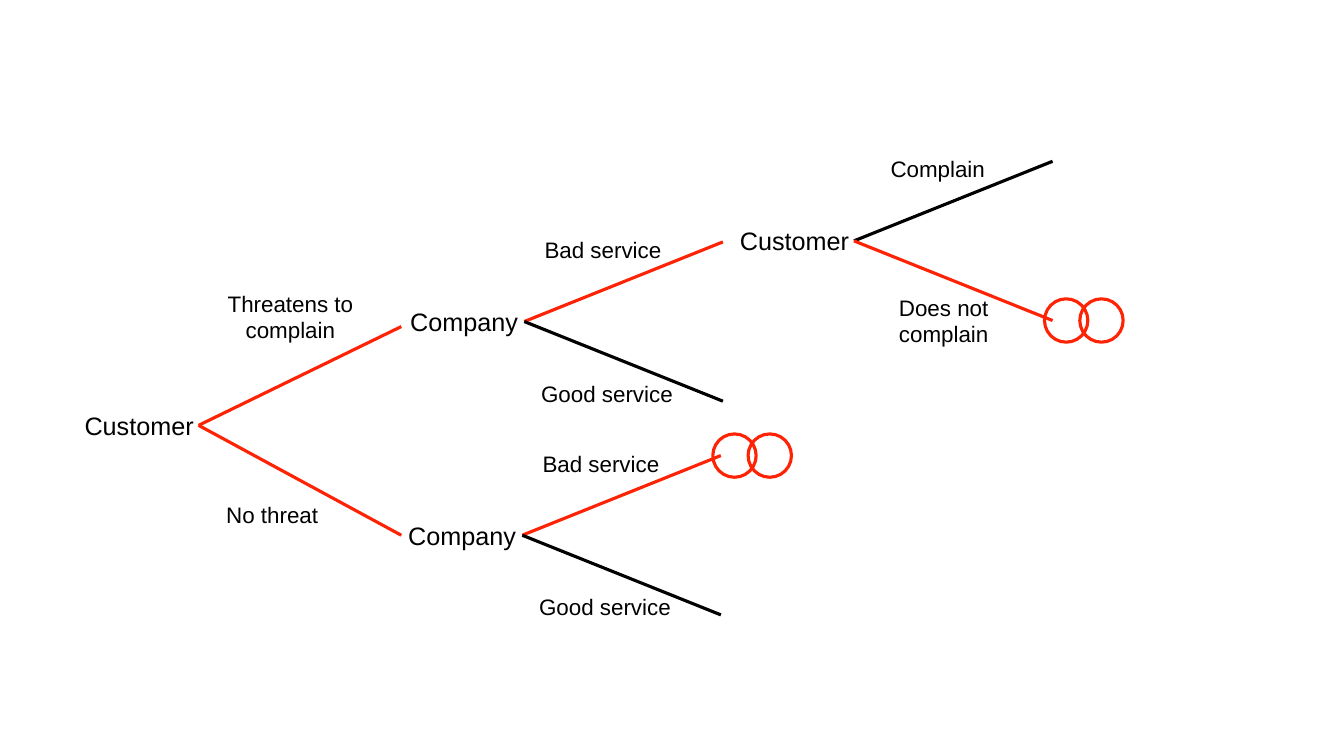
from pptx import Presentation
from pptx.util import Inches, Pt
from pptx.dml.color import RGBColor
from pptx.enum.shapes import MSO_CONNECTOR, MSO_SHAPE
from pptx.enum.text import MSO_ANCHOR, PP_ALIGN
from pptx.oxml.ns import qn
from lxml import etree

STRAIGHT, OVAL = MSO_CONNECTOR.STRAIGHT, MSO_SHAPE.OVAL
MIDDLE, LEFT, CENTER = MSO_ANCHOR.MIDDLE, PP_ALIGN.LEFT, PP_ALIGN.CENTER

# Content: player, then (label, chosen, ends in an outcome)
THREAT = [("Threatens to complain", True, False), ("No threat", True, False)]
SERVICE = [("Bad service", True, False), ("Good service", False, False)]
SERVICE_END = [("Bad service", True, True), ("Good service", False, False)]
COMPLAINT = [("Complain", False, False), ("Does not complain", True, True)]

# Geometry in inches: (dx, dy) is the label centre measured from the fork
RUN, RISE = 1.97, 0.79
WIDE = [(2.01, -0.98), (2.01, 1.09)]
EVEN = [(RUN, -RISE), (RUN, RISE)]
LABEL_AT = {
    "Threatens to complain": (0.91, -1.08, 1.65),
    "No threat": (0.73, 0.88, 1.13),
    "Bad service": (0.78, -0.71, 1.65),
    "Good service": (0.82, 0.71, 1.72),
    "Complain": (0.83, -0.72, 1.65),
    "Does not complain": (0.89, 0.79, 1.3),
}
FORKS = [  # player, fork x, fork y, branch ends, branches
    ("Customer", 1.97, 4.22, WIDE, THREAT),
    ("Company", 5.2, 3.19, EVEN, SERVICE),
    ("Company", 5.18, 5.31, EVEN, SERVICE_END),
    ("Customer", 8.47, 2.39, EVEN, COMPLAINT),
]
NODE_W, NODE_H, NODE_OFFSET = 1.3, 0.4, 1.23
LINE_H, PADDING = 0.27, 0.1
RING, RING_STEP, PAIR_OFFSET = 0.43, 0.35, 0.31

THEME = {
    "font": "Arial",
    "text": RGBColor(0, 0, 0),
    "chosen": RGBColor(0xFF, 0x23, 0x05),
    "other": RGBColor(0, 0, 0),
    "node_size": Pt(18),
    "label_size": Pt(16),
    "stroke": Pt(2.25),
}


def add_text(s, text, x, y, w, h, size, align, wrap):
    tf = s.shapes.add_textbox(*map(Inches, (x, y, w, h))).text_frame
    tf.word_wrap = wrap
    tf.vertical_anchor = MIDDLE
    tf.text = text
    p = tf.paragraphs[0]
    p.alignment = align
    font = p.runs[0].font
    font.name, font.size = THEME["font"], size
    font.color.rgb = THEME["text"]


def add_branch(s, x1, y1, x2, y2, chosen):
    line = s.shapes.add_connector(STRAIGHT, *map(Inches, (x1, y1, x2, y2)))
    line.line.color.rgb = THEME["chosen" if chosen else "other"]
    line.line.width = THEME["stroke"]
    etree.SubElement(line._element.spPr, qn("a:effectLst"))


def add_outcome(s, x, y):
    for side in (-0.5, 0.5):
        left = x + PAIR_OFFSET + side * RING_STEP - RING / 2
        ring = s.shapes.add_shape(
            OVAL, Inches(left), Inches(y - RING / 2), Inches(RING), Inches(RING))
        ring.shadow.inherit = False
        ring.fill.background()
        ring.line.color.rgb = THEME["chosen"]
        ring.line.width = THEME["stroke"]


def add_fork(s, player, x, y, ends, branches):
    add_text(s, player, x - NODE_OFFSET, y - NODE_H / 2, NODE_W, NODE_H,
             THEME["node_size"], LEFT, False)
    for (run, rise), (label, chosen, outcome) in zip(ends, branches):
        add_branch(s, x, y, x + run, y + rise, chosen)
        dx, dy, w = LABEL_AT[label]
        lines = 2 if len(label) > 12 else 1
        h = lines * LINE_H + PADDING
        add_text(s, label, x + dx - w / 2, y + dy - h / 2, w, h,
                 THEME["label_size"], CENTER, True)
        if outcome:
            add_outcome(s, x + run, y + rise)


def main():
    prs = Presentation()
    prs.slide_width, prs.slide_height = Inches(13.33), Inches(7.5)
    s = prs.slides.add_slide(prs.slide_layouts[6])
    for fork in FORKS:
        add_fork(s, *fork)
    prs.save("out.pptx")


if __name__ == "__main__":
    main()
